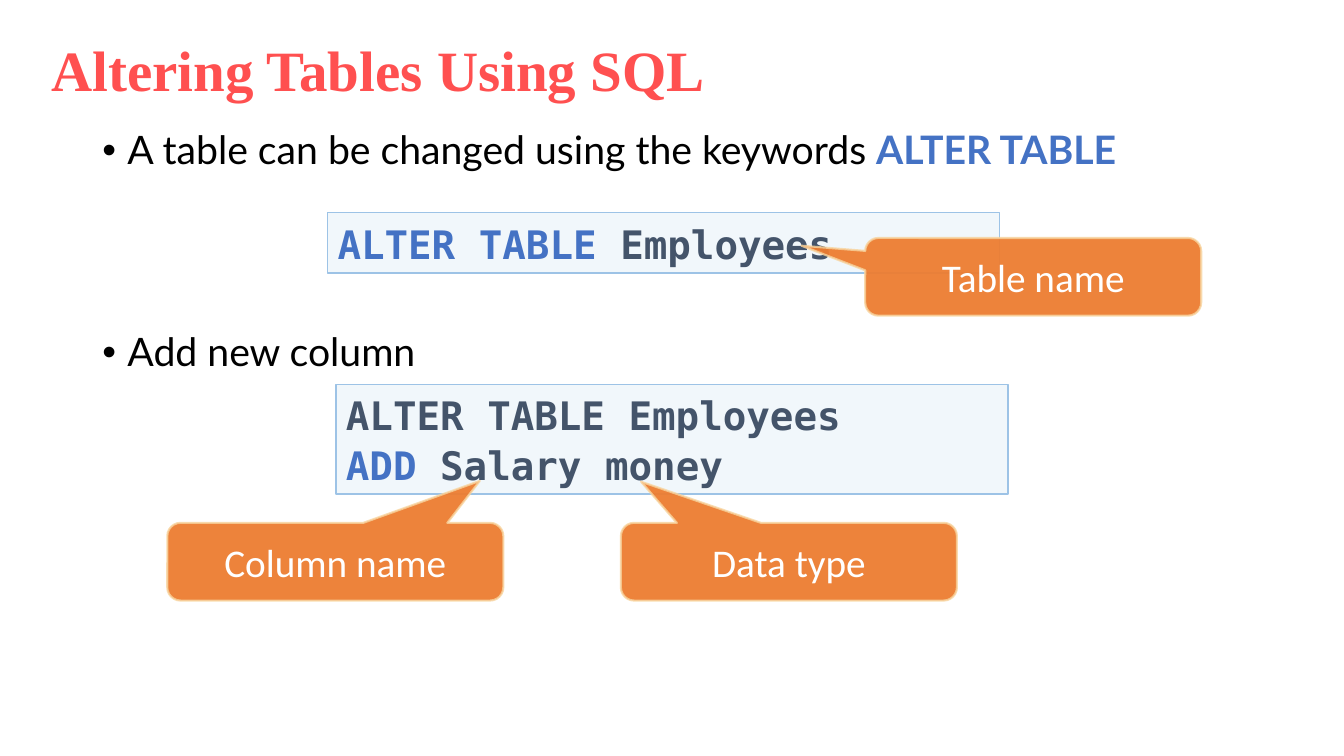
from dataclasses import dataclass

from lxml import etree
from pptx import Presentation
from pptx import util as u
from pptx.dml.color import RGBColor
from pptx.enum import shapes, text
from pptx.oxml import ns


@dataclass(frozen=True)
class Theme:
    title: str = "FF5050"
    body: str = "000000"
    keyword: str = "4472C4"
    code: str = "44546A"
    code_fill: str = "BDD7EE"
    code_line: str = "9DC3E6"
    callout: str = "ED7D31"
    callout_line: str = "F8D49E"
    callout_text: str = "FFFFFF"
    title_size: float = 40.7
    text_size: float = 28


class Deck:
    def __init__(self, theme):
        self.theme = theme
        self.prs = Presentation()
        self.prs.slide_width, self.prs.slide_height = u.Pt(960), u.Pt(540)
        self.slide = self.prs.slides.add_slide(self.prs.slide_layouts[6])

    def apply(self, target, values):
        for name, value in values.items():
            setattr(target, name, value)

    def fill_text(self, tf, lines, font, frame=None, para=None):
        self.apply(tf, {"word_wrap": True, **(frame or {})})
        for i, runs in enumerate(lines):
            p = tf.add_paragraph() if i else tf.paragraphs[0]
            self.apply(p, para or {})
            for words, color, bold in runs:
                r = p.add_run()
                r.text = words
                self.apply(r.font, {**font, "bold": bold})
                r.font.color.rgb = RGBColor.from_string(color)
        return tf.paragraphs

    def box(self, at):
        return self.slide.shapes.add_textbox(*map(u.Pt, at)).text_frame

    def shape(self, kind, at, fill, line, width):
        sp = self.slide.shapes.add_shape(kind, *map(u.Pt, at))
        sp.shadow.inherit = False
        sp.line.width = u.Pt(width)
        for paint, (color, _) in ((sp.fill, fill), (sp.line.fill, line)):
            paint.solid()
            paint.fore_color.rgb = RGBColor.from_string(color)
        solids = sp._element.spPr.iter(ns.qn("a:solidFill"))
        for solid, (_, alpha) in zip(list(solids), (fill, line)):
            etree.SubElement(solid[0], ns.qn("a:alpha"), val=str(alpha * 1000))
        return sp

    def title(self, at, words):
        t = self.theme
        self.fill_text(self.box(at), [[(words, t.title, True)]],
                       {"name": "Times New Roman", "size": u.Pt(t.title_size)},
                       {"vertical_anchor": text.MSO_ANCHOR.MIDDLE}, {"line_spacing": 0.8})

    def bullets(self, at, lines, gaps):
        paragraphs = self.fill_text(self.box(at), lines,
                                    {"name": "Lato", "size": u.Pt(self.theme.text_size)},
                                    para={"line_spacing": 0.9})
        for p, gap in zip(paragraphs, gaps):
            p.space_before = u.Pt(gap)
            pPr = p._p.get_or_add_pPr()
            pPr.set("marL", str(u.Pt(18)))
            pPr.set("indent", str(u.Pt(-18)))
            etree.SubElement(pPr, ns.qn("a:buFont"), typeface="Arial")
            etree.SubElement(pPr, ns.qn("a:buChar"), char="•")

    def code(self, at, lines):
        t = self.theme
        sp = self.shape(shapes.MSO_SHAPE.RECTANGLE, at,
                        (t.code_fill, 20), (t.code_line, 100), 1)
        self.fill_text(sp.text_frame, lines,
                       {"name": "DejaVu Sans Mono", "size": u.Pt(t.text_size)},
                       {"vertical_anchor": text.MSO_ANCHOR.TOP,
                        "auto_size": text.MSO_AUTO_SIZE.SHAPE_TO_FIT_TEXT},
                       {"line_spacing": 1.05, "alignment": text.PP_ALIGN.LEFT})

    def callout(self, left, top, words, tip):
        t = self.theme
        sp = self.shape(shapes.MSO_SHAPE.ROUNDED_RECTANGULAR_CALLOUT, (left, top, 240, 55.5),
                        (t.callout, 95), (t.callout_line, 80), 1.5)
        for i, value in enumerate((*tip, 0.17)):
            sp.adjustments[i] = value
        self.fill_text(sp.text_frame, [[(words, t.callout_text, False)]],
                       {"name": "Calibri", "size": u.Pt(t.text_size)},
                       {"vertical_anchor": text.MSO_ANCHOR.MIDDLE},
                       {"alignment": text.PP_ALIGN.CENTER})


def main():
    t = Theme()
    deck = Deck(t)
    deck.bullets((66, 90, 828, 343), [
        [("A table can be changed using the keywords ", t.body, False),
         ("ALTER TABLE", t.keyword, True)],
        [("Add new column", t.body, False)],
    ], (10, 114))
    deck.code((240, 274.5, 480, 78.5), [
        [("ALTER TABLE Employees", t.code, True)],
        [("ADD", t.keyword, True), (" Salary money", t.code, True)],
    ])
    deck.code((234, 152, 480, 43), [
        [("ALTER TABLE ", t.keyword, True), ("Employees", t.code, True)],
    ])
    for left, top, words, tip in (
        (618, 170, "Table name", (-0.69, -0.4)),
        (119.5, 373.5, "Column name", (0.43, -1.04)),
        (443.5, 373.5, "Data type", (-0.44, -1.03)),
    ):
        deck.callout(left, top, words, tip)
    deck.title((29.5, 30, 828, 47), "Altering Tables Using SQL")
    deck.prs.save("out.pptx")


if __name__ == "__main__":
    main()
